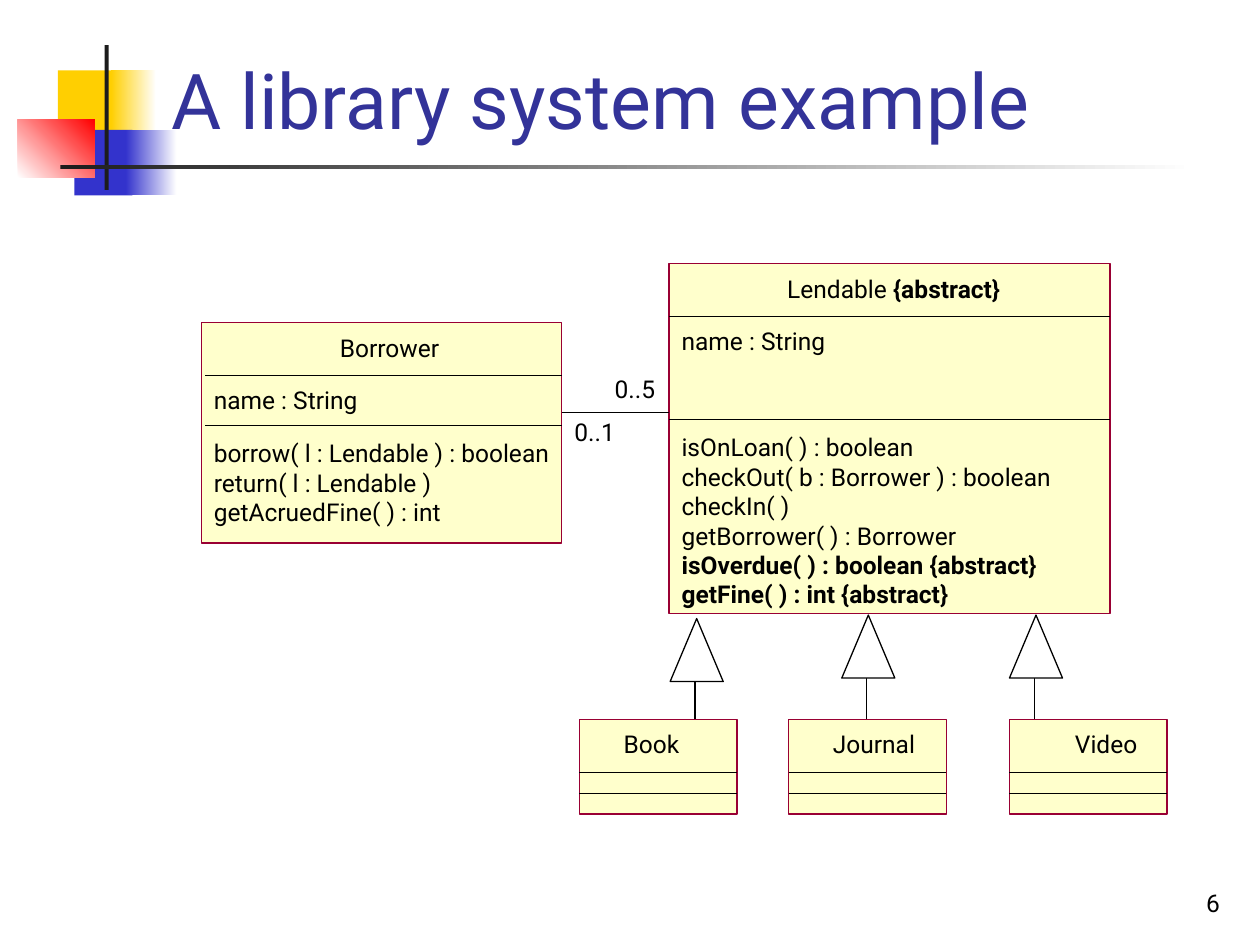
from lxml.etree import SubElement
from pptx import Presentation
from pptx.dml.color import RGBColor
from pptx.enum.shapes import MSO_CONNECTOR, MSO_SHAPE
from pptx.enum.text import MSO_ANCHOR, MSO_AUTO_SIZE, PP_ALIGN
from pptx.oxml.ns import qn
from pptx.util import Cm, Pt

FONT = "Roboto"
BLACK, WHITE, CREAM, WINE = "000000", "FFFFFF", "FFFFCC", "990033"

# All lengths are in centimetres.
# Ornament: left, top, width, height, colours, gradient angle
DECOR = [
    (1.17, 1.42, 1.22, 1.32, ["FFCF01"], 0),
    (2.24, 1.42, 0.91, 1.32, ["FFCF01", WHITE], 0),
    (1.5, 2.62, 1.17, 1.32, ["3333CC"], 0),
    (2.54, 2.62, 1.02, 1.32, ["3333CC", WHITE], 0),
    (0.36, 2.41, 1.55, 1.17, [WHITE, "FF0000"], 45),
    (2.11, 0.91, 0.08, 2.92, ["1C1C1C"], 0),
    (1.22, 3.33, 22.86, 0.08, ["1C1C1C", WHITE], 0),
]

# Each text is a list of lines, each line a list of (text, bold) runs.
# Parts are (offset x, offset y, width, lines) within the class box.
LENDABLE = dict(
    box=(13.49, 5.31, 8.89, 7.06), rules=[1.07, 3.15], inset=0,
    parts=[
        (2.13, 0.08, 5.56, [[("Lendable ", False), ("{abstract}", True)]]),
        (0, 3.28, 8.97, [
            [("isOnLoan( ) : boolean", False)],
            [("checkOut( b : Borrower ) : boolean", False)],
            [("checkIn( )", False)],
            [("getBorrower( ) : Borrower", False)],
            [("isOverdue( ) : boolean {abstract}", True)],
            [("getFine( ) : int {abstract}", True)],
        ]),
        (0, 1.14, 3.76, [[("name : String", False)]]),
    ])
BORROWER = dict(
    box=(4.06, 6.5, 7.26, 4.45), rules=[1.07, 2.08], inset=0.08,
    parts=[
        (2.54, 0.08, 2.64, [[("Borrower", False)]]),
        (0, 2.21, 7.32, [
            [("borrow( l : Lendable ) : boolean", False)],
            [("return( l : Lendable )", False)],
            [("getAcruedFine( ) : int", False)],
        ]),
        (0, 1.14, 3.43, [[("name : String", False)]]),
    ])

# Subclasses: name, box left, name offset, name width, arrow left, arrow top
KINDS = [
    ("Video", 20.35, 1.07, 1.91, 20.35, 12.4),
    ("Journal", 15.9, 0.64, 2.26, 16.97, 12.4),
    ("Book", 11.68, 0.64, 1.78, 13.51, 12.47),
]
ENDS = [("0..5", 12.14, 7.42), ("0..1", 11.33, 8.28)]


def rgb(code):
    return RGBColor.from_string(code)


def shape(slide, form, box, fills, edge=None, angle=0):
    """Add a preset shape; two fill colours make a gradient."""
    item = slide.shapes.add_shape(form, *map(Cm, box))
    item.shadow.inherit = False
    if len(fills) == 1:
        item.fill.solid()
        item.fill.fore_color.rgb = rgb(fills[0])
    else:
        item.fill.gradient()
        item.fill.gradient_angle = angle
        for stop, code in zip(item.fill.gradient_stops, fills):
            stop.color.rgb = rgb(code)
    if edge:
        item.line.color.rgb = rgb(edge)
        item.line.width = Pt(0.75)
    else:
        item.line.fill.background()


def line(slide, *ends):
    wire = slide.shapes.add_connector(MSO_CONNECTOR.STRAIGHT, *map(Cm, ends))
    wire.line.color.rgb = rgb(BLACK)
    wire.line.width = Pt(0.75)
    SubElement(wire.element.spPr, qn("a:effectLst"))


def write(slide, box, lines, size=14, color=BLACK, align=PP_ALIGN.LEFT,
          fixed=False):
    """Add text; a fixed box wraps and sits at the bottom, others grow."""
    frame = slide.shapes.add_textbox(*map(Cm, box)).text_frame
    frame.word_wrap = fixed
    if fixed:
        frame.vertical_anchor = MSO_ANCHOR.BOTTOM
    else:
        frame.auto_size = MSO_AUTO_SIZE.SHAPE_TO_FIT_TEXT
    for i, runs in enumerate(lines):
        para = frame.add_paragraph() if i else frame.paragraphs[0]
        para.alignment = align
        for text, bold in runs:
            run = para.add_run()
            run.text = text
            run.font.name = FONT
            run.font.size = Pt(size)
            run.font.bold = bold
            run.font.color.rgb = rgb(color)


def entity(slide, box, rules, inset, parts):
    """Draw a class box with its dividing rules and texts."""
    x, y, w, h = box
    shape(slide, MSO_SHAPE.RECTANGLE, box, [CREAM], WINE)
    for dy in rules:
        line(slide, x + inset, y + dy, x + w, y + dy)
    for dx, dy, wide, lines in parts:
        high = 0.24 + 0.6 * len(lines)
        write(slide, (x + dx, y + dy, wide, high), lines)


def main():
    deck = Presentation()
    deck.slide_width, deck.slide_height = Cm(25.4), Cm(19.05)
    slide = deck.slides.add_slide(deck.slide_layouts[6])

    for *box, fills, angle in DECOR:
        shape(slide, MSO_SHAPE.RECTANGLE, box, fills, angle=angle)
    write(slide, (19.56, 17.35, 5.28, 1.27), [[("6", False)]],
          align=PP_ALIGN.RIGHT, fixed=True)
    write(slide, (3.2, 0.53, 21.64, 2.51),
          [[("A library system example", False)]], 44, "333399", fixed=True)

    entity(slide, **LENDABLE)
    entity(slide, **BORROWER)
    line(slide, 11.32, 8.31, 13.49, 8.31)
    for text, x, y in ENDS:
        write(slide, (x, y, 1.32, 0.84), [[(text, False)]])

    for *_, x, y in KINDS:
        line(slide, x + 0.5, y + 2.26, x + 0.5, y + 1.19)
    for name, x, dx, wide, *_ in KINDS:
        entity(slide, (x, 14.5, 3.18, 1.91), [1.07, 1.5], 0,
               [(dx, 0.08, wide, [[(name, False)]])])
    for *_, x, y in KINDS:
        shape(slide, MSO_SHAPE.ISOSCELES_TRIANGLE, (x, y, 1.07, 1.27),
              [WHITE], BLACK)

    deck.save("out.pptx")


if __name__ == "__main__":
    main()
